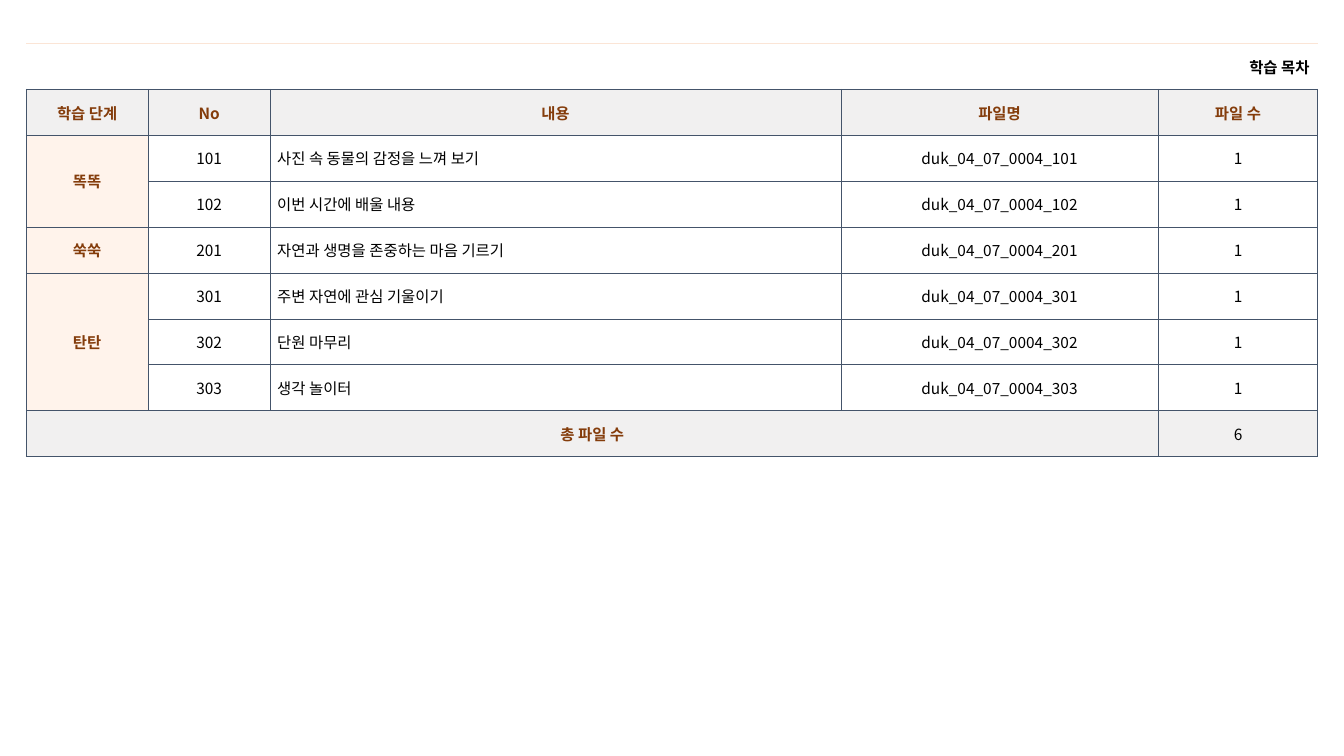
from dataclasses import dataclass

from lxml import etree
from pptx import Presentation
from pptx import util as u
from pptx.dml.color import RGBColor
from pptx.enum import text
from pptx.oxml.ns import qn


@dataclass(frozen=True)
class Theme:
    font: str = "Noto Sans CJK KR"
    size: float = 11
    ink: str = "000000"
    brown: str = "843C0B"
    gray: str = "F1F0F0"
    peach: str = "FFF3EB"
    white: str = "FFFFFF"
    rule: str = "44546A"
    pale: str = "FBE5D6"


LEFT, MID, RIGHT = text.PP_ALIGN.LEFT, text.PP_ALIGN.CENTER, text.PP_ALIGN.RIGHT
WIDTHS = [1.21, 1.21, 5.66, 3.15, 1.58]
HEADS = ["학습 단계", "No", "내용", "파일명", "파일 수"]
STEPS = [
    ("똑똑", [(101, "사진 속 동물의 감정을 느껴 보기"), (102, "이번 시간에 배울 내용")]),
    ("쑥쑥", [(201, "자연과 생명을 존중하는 마음 기르기")]),
    ("탄탄", [(301, "주변 자연에 관심 기울이기"), (302, "단원 마무리"), (303, "생각 놀이터")]),
]


class Deck:
    def __init__(self, theme):
        self.theme = theme
        self.prs = Presentation()
        self.prs.slide_width = u.Inches(13.33)
        self.prs.slide_height = u.Inches(7.5)
        self.slide = self.prs.slides.add_slide(self.prs.slide_layouts[6])

    def table(self, left, top, widths, count, height):
        frame = self.slide.shapes.add_table(
            count, len(widths), u.Inches(left), u.Inches(top),
            u.Inches(sum(widths)), u.Inches(height))
        grid = frame.table
        grid.first_row = grid.horz_banding = False
        for col, width in zip(grid.columns, widths):
            col.width = u.Inches(width)
        for row in grid.rows:
            row.height = u.Inches(height / count)
        return grid

    def edges(self, cell, **custom):
        """Draw the four borders; custom maps a side to (color, points) or None."""
        props = cell._tc.get_or_add_tcPr()
        for spot, side in enumerate("LRTB"):
            style = custom.get(side, (self.theme.rule, 0.5))
            line = etree.Element(qn(f"a:ln{side}"))
            if style:
                color, points = style
                line.set("w", str(u.Pt(points)))
                fill = etree.SubElement(line, qn("a:solidFill"))
                etree.SubElement(fill, qn("a:srgbClr"), val=color)
            else:
                etree.SubElement(line, qn("a:noFill"))
            props.insert(spot, line)

    def cell(self, cell, words, fill=None, align=MID, color=None, bold=False, pad=0.07):
        if fill:
            cell.fill.solid()
            cell.fill.fore_color.rgb = RGBColor.from_string(fill)
        else:
            cell.fill.background()
        cell.vertical_anchor = text.MSO_ANCHOR.MIDDLE
        cell.margin_left = cell.margin_right = u.Inches(pad)
        cell.margin_top = cell.margin_bottom = u.Inches(0.05)
        para = cell.text_frame.paragraphs[0]
        para.alignment = align
        run = para.add_run()
        run.text = str(words)
        font = run.font
        font.name, font.size, font.bold = self.theme.font, u.Pt(self.theme.size), bold
        font.color.rgb = RGBColor.from_string(color or self.theme.ink)
        etree.SubElement(run._r.get_or_add_rPr(), qn("a:ea"), typeface=self.theme.font)

    def label(self, cell, words, fill):
        self.cell(cell, words, fill, color=self.theme.brown, bold=True)

    def save(self):
        self.prs.save("out.pptx")


def main():
    theme = Theme()
    deck = Deck(theme)
    total = sum(len(items) for _, items in STEPS)
    last = total + 2
    grid = deck.table(0.26, 0.43, WIDTHS, last + 1, 4.1)

    for col in range(len(WIDTHS)):
        deck.edges(grid.cell(0, col), L=None, R=None, T=(theme.pale, 0.25))
        for row in range(1, last + 1):
            deck.edges(grid.cell(row, col))

    title = grid.cell(0, 0)
    title.merge(grid.cell(0, 4))
    deck.cell(title, "학습 목차", align=RIGHT, bold=True, pad=0.08)
    for col, head in enumerate(HEADS):
        deck.label(grid.cell(1, col), head, theme.gray)

    row = 2
    for step, items in STEPS:
        first = grid.cell(row, 0)
        if len(items) > 1:
            first.merge(grid.cell(row + len(items) - 1, 0))
        deck.label(first, step, theme.peach)
        for num, topic in items:
            values = [num, topic, f"duk_04_07_0004_{num}", 1]
            for col, value in enumerate(values, 1):
                align = LEFT if col == 2 else MID
                deck.cell(grid.cell(row, col), value, theme.white, align)
            row += 1

    foot = grid.cell(last, 0)
    foot.merge(grid.cell(last, 3))
    deck.label(foot, "총 파일 수", theme.gray)
    deck.cell(grid.cell(last, 4), total, theme.gray)
    deck.save()


if __name__ == "__main__":
    main()
